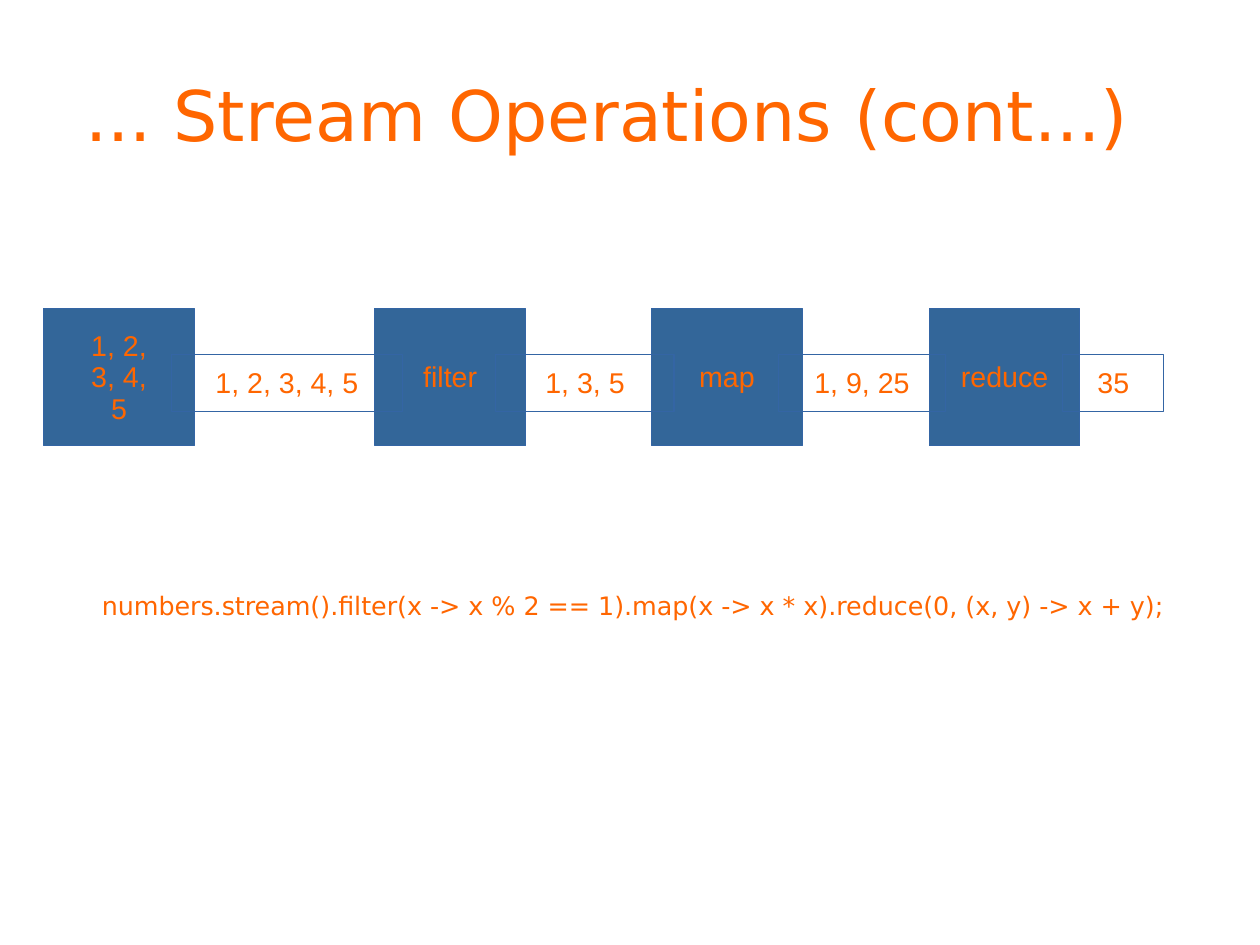
from pptx import Presentation
from pptx.dml.color import RGBColor
from pptx.enum.shapes import MSO_SHAPE as Shape
from pptx.enum.text import MSO_ANCHOR as Anchor, PP_ALIGN as Align
from pptx.util import Cm, Pt

TITLE = "... Stream Operations (cont...)"
CODE = "numbers.stream().filter(x -> x % 2 == 1).map(x -> x * x).reduce(0, (x, y) -> x + y);"
STAGES = [
    ("1, 2,\n3, 4,\n5", 0.97),
    ("filter", 8.33),
    ("map", 14.48),
    ("reduce", 20.65),
]
PIPES = [
    ("1, 2, 3, 4, 5", 3.81, 5.13),
    ("1, 3, 5", 11.02, 3.96),
    ("1, 9, 25", 17.3, 3.71),
    ("35", 23.62, 2.24),
]
COLORS = {"text": "FF6600", "stage": "336699", "line": "3465A4"}
STAGE_TOP, STAGE_WIDTH, STAGE_HEIGHT = 6.86, 3.35, 3.05
PIPE_TOP, PIPE_HEIGHT = 7.87, 1.27
HEADING_WIDTH, HEADING_HEIGHT = 25.2, 3.5


def color(part):
    return RGBColor.from_string(COLORS[part])


def write(frame, text, font, size, spacing, align, margins, wrap):
    frame.text = text
    frame.word_wrap = wrap
    frame.vertical_anchor = Anchor.MIDDLE
    frame.margin_left, frame.margin_top, frame.margin_right, frame.margin_bottom = map(Cm, margins)
    for line in frame.paragraphs:
        line.alignment = align
        line.line_spacing = spacing
        for run in line.runs:
            run.font.name = font
            run.font.size = Pt(size)
            run.font.color.rgb = color("text")


def add_heading(slide, text, left, top, size, align, margins):
    heading = slide.shapes.add_textbox(Cm(left), Cm(top), Cm(HEADING_WIDTH), Cm(HEADING_HEIGHT))
    write(heading.text_frame, text, "DejaVu Sans", size, 0.98, align, margins, True)


def add_block(slide, text, left, top, width, height, fill=None):
    block = slide.shapes.add_shape(Shape.RECTANGLE, Cm(left), Cm(top), Cm(width), Cm(height))
    block.shadow.inherit = False
    if fill:
        block.fill.solid()
        block.fill.fore_color.rgb = color(fill)
    else:
        block.fill.background()
    block.line.color.rgb = color("line")
    block.line.width = Pt(0.75)
    write(block.text_frame, text, "Arial", 18, 0.93, Align.CENTER, (0.25, 0.18, 0.25, 0.13), False)


def main():
    deck = Presentation()
    deck.slide_width, deck.slide_height = Cm(28), Cm(21)
    slide = deck.slides.add_slide(deck.slide_layouts[6])

    add_heading(slide, TITLE, 1.4, 0.84, 44, Align.LEFT, (0.49, 0.03, 0, 0))
    for text, left in STAGES:
        add_block(slide, text, left, STAGE_TOP, STAGE_WIDTH, STAGE_HEIGHT, "stage")
    for text, left, width in PIPES:
        add_block(slide, text, left, PIPE_TOP, width, PIPE_HEIGHT)
    add_heading(slide, CODE, 1.47, 11.73, 16, Align.CENTER, (0, 0, 0, 0))

    deck.save("out.pptx")


if __name__ == "__main__":
    main()
